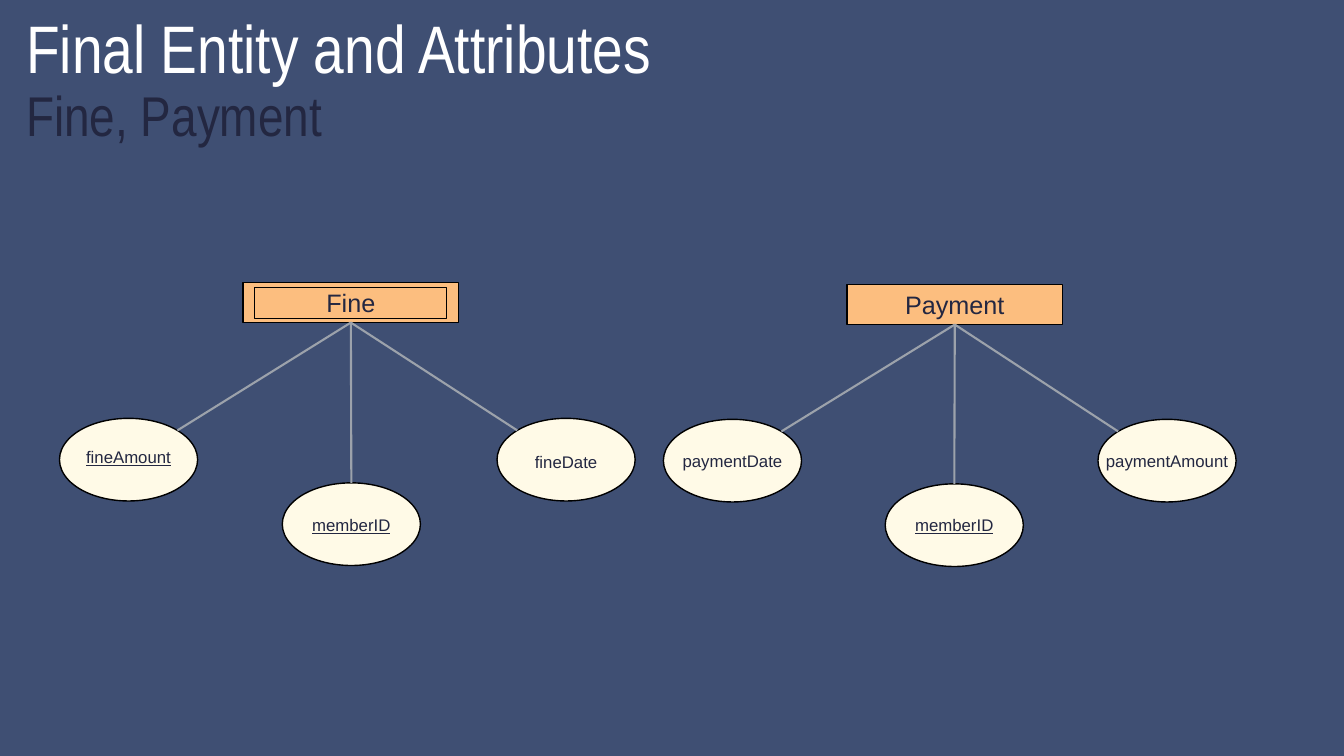
from lxml import etree
from pptx import Presentation
from pptx.dml.color import RGBColor
from pptx.enum.shapes import MSO_CONNECTOR as Connector, MSO_SHAPE as Shape
from pptx.enum.text import MSO_ANCHOR as Anchor, MSO_AUTO_SIZE as AutoSize, PP_ALIGN as Align
from pptx.oxml.ns import qn
from pptx.util import Pt

PX = 9144  # 100 px to the inch
COLORS = {
    "background": "3F4F73",
    "title": "FFFFFF",
    "text": "232741",
    "entity": "FCBE7F",
    "attribute": "FFFAE7",
    "outline": "000000",
    "link": "9CA2AB",
}
ENTITY_SIZE = (214, 40)
ATTRIBUTE_SIZE = (137, 82)
AXIS = 289  # from the left of a diagram to the middle of its entity
DIAGONAL = (1 - 0.5 ** 0.5) / 2  # where an ellipse's diagonal meets its outline


def px(*lengths):
    return [round(length) * PX for length in lengths]


def color(name):
    return RGBColor.from_string(COLORS[name])


def format_run(run, font_name, size, color_name, underline=None):
    run.font.name = font_name
    run.font.size = Pt(size)
    run.font.color.rgb = color(color_name)
    run.font.underline = underline


def write_centered(shape, text, size, underline=None):
    paragraph = shape.text_frame.paragraphs[0]
    paragraph.text = text
    paragraph.alignment = Align.CENTER
    format_run(paragraph.runs[0], "Arial", size, "text", underline)


def add_outlined(shapes, kind, box, fill=None, line_width=1):
    shape = shapes.add_shape(kind, *px(*box))
    shape.shadow.inherit = False
    if fill:
        shape.fill.solid()
        shape.fill.fore_color.rgb = color(fill)
    else:
        shape.fill.background()
    shape.line.color.rgb = color("outline")
    shape.line.width = Pt(line_width)
    return shape


def add_link(shapes, start, end):
    link = shapes.add_connector(Connector.STRAIGHT, *px(*start, *end))
    link.line.color.rgb = color("link")
    link.line.width = Pt(1.5)
    etree.SubElement(link._element.spPr, qn("a:effectLst"))
    return link


def add_title(slide, box):
    title = slide.shapes.title
    title.left, title.top, title.width, title.height = px(*box)
    frame = title.text_frame
    frame.auto_size = AutoSize.NONE
    frame.word_wrap = True
    frame.vertical_anchor = Anchor.BOTTOM
    paragraph = frame.paragraphs[0]
    paragraph.text = "Final Entity and Attributes\vFine, Payment"
    paragraph.alignment = Align.LEFT
    paragraph.line_spacing = 0.9
    heading, subtitle = paragraph.runs
    format_run(heading, "Arial Narrow", 48, "title")
    format_run(subtitle, "Arial Narrow", 40, "text")


def add_attribute(shapes, left, top, name, is_key, label_width, label_drop):
    width, height = ATTRIBUTE_SIZE
    ellipse = add_outlined(shapes, Shape.OVAL, (left, top, width, height), "attribute")
    label_left = left + (width - label_width) / 2
    label = shapes.add_textbox(*px(label_left, top + label_drop, label_width, 37))
    label.text_frame.word_wrap = True
    write_centered(label, name, 12, is_key)
    return ellipse


def add_diagram(slide, box, entity_name, attributes, is_weak=False):
    """Entity on top; attributes at the left, in the middle and at the right."""
    left, top, width, height = box
    shapes = slide.shapes.add_group_shape().shapes
    entity_width, entity_height = ENTITY_SIZE
    attribute_width, attribute_height = ATTRIBUTE_SIZE
    axis, entity_bottom = left + AXIS, top + entity_height

    # Entity
    entity_box = (axis - entity_width / 2, top, entity_width, entity_height)
    entity = add_outlined(shapes, Shape.RECTANGLE, entity_box, "entity")
    entity.text_frame.vertical_anchor = Anchor.MIDDLE
    write_centered(entity, entity_name, 18)

    # Attributes
    middle_top = top + height - attribute_height
    side_top = middle_top - 64
    right = left + width - attribute_width
    places = [(left, side_top), (axis - attribute_width / 2, middle_top), (right, side_top)]
    ellipses = [add_attribute(shapes, *place, *attribute)
                for place, attribute in zip(places, attributes)]

    # Links
    link_y = side_top + attribute_height * DIAGONAL
    ends = [(left + attribute_width * (1 - DIAGONAL), link_y),
            (axis, middle_top),
            (right + attribute_width * DIAGONAL, link_y)]
    links = [add_link(shapes, (axis, entity_bottom), end) for end in ends]
    for link in links:
        link.begin_connect(entity, 2)
    links[1].end_connect(ellipses[1], 0)

    # Inner frame of a weak entity
    if is_weak:
        frame_box = (axis - 191 / 2, top + 5, 191, 31)
        add_outlined(shapes, Shape.RECTANGLE, frame_box, line_width=0.75)


def main():
    presentation = Presentation()
    presentation.slide_width, presentation.slide_height = px(1333, 750)
    slide = presentation.slides.add_slide(presentation.slide_layouts[5])
    slide.background.fill.solid()
    slide.background.fill.fore_color.rgb = color("background")

    add_title(slide, (16, 1, 977, 151))
    # Attributes: name, is key, label width, label drop
    add_diagram(slide, (658, 282, 568, 280), "Payment", [
        ("paymentDate", None, 121, 26),
        ("memberID", True, 121, 26),
        ("paymentAmount", None, 145, 26),
    ])
    add_diagram(slide, (59, 280, 571, 281), "Fine", [
        ("fineAmount", True, 121, 23),
        ("memberID", True, 121, 27),
        ("fineDate", None, 121, 28),
    ], is_weak=True)
    presentation.save("out.pptx")


if __name__ == "__main__":
    main()
